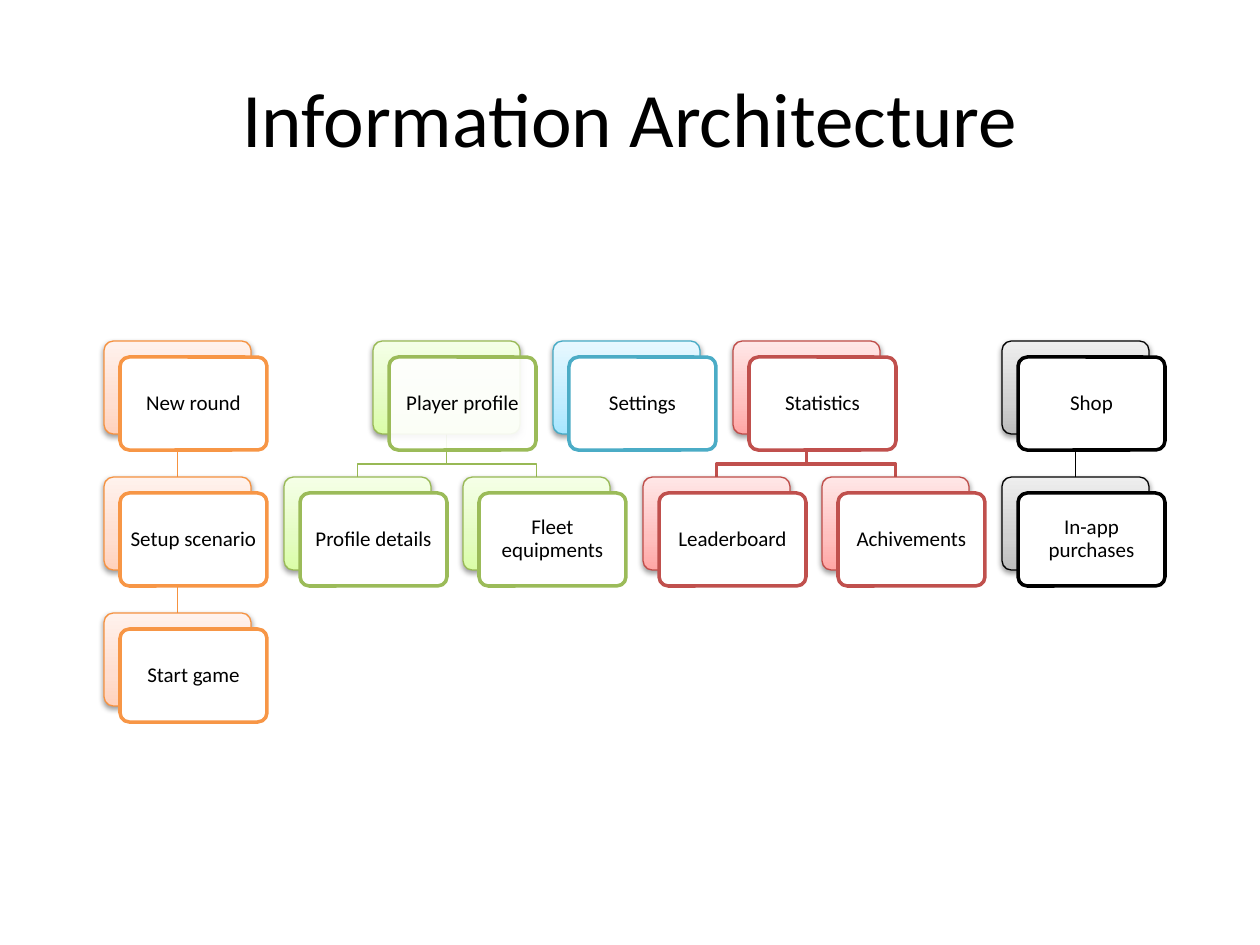
from collections import namedtuple

from pptx import Presentation, util as u
from pptx.dml.color import RGBColor
from pptx.enum import shapes, text
from pptx.oxml import parse_xml
from pptx.oxml.ns import nsdecls, qn

# Scale: 126 px to the inch
SCALE = 914400 / 126
# Grid: columns are counted in half steps
LEFT, TOP = 104, 341
HALF, ROW = 89.8, 136
WIDE, HIGH, SHIFT = 147, 93, 16
BEND = 30

BLACK = RGBColor(0, 0, 0)
WHITE = RGBColor(255, 255, 255)
FONT = "Calibri"

# card: front outline; edge: back outline; link: lines; stops: bottom to top
Theme = namedtuple("Theme", "card edge link weight stops")


def theme(card, edge, link, weight, *stops):
    return Theme(*map(RGBColor.from_string, (card, edge, link)), weight, stops)


ORANGE = theme("F79646", "F69240", "F69240", 0.75, "FFD2BD", "FFDED0", "FFF2ED")
GREEN = theme("9BBB59", "98B955", "98B955", 0.75, "DAFDA7", "E4FCC2", "F5FFE7")
BLUE = theme("4BACC6", "46AAC5", "46AAC5", 0.75, "A7E6FF", "C1EDFF", "E7F8FF")
RED = theme("C0504D", "BF4C48", "C0504D", 2, "FFA6A5", "FFC0BF", "FFE7E7")
GREY = theme("000000", "000000", "000000", 0.75, "BDBDBD", "D1D1D1", "EEEEEE")

# Name: half column, row, theme, parent
NODES = {
    "New round": (0, 0, ORANGE, None),
    "Setup scenario": (0, 1, ORANGE, "New round"),
    "Start game": (0, 2, ORANGE, "Setup scenario"),
    "Player profile": (3, 0, GREEN, None),
    "Profile details": (2, 1, GREEN, "Player profile"),
    "Fleet equipments": (4, 1, GREEN, "Player profile"),
    "Settings": (5, 0, BLUE, None),
    "Statistics": (7, 0, RED, None),
    "Leaderboard": (6, 1, RED, "Statistics"),
    "Achivements": (8, 1, RED, "Statistics"),
    "Shop": (10, 0, GREY, None),
    "In-app purchases": (10, 1, GREY, "Shop"),
}


def px(*nums):
    return [u.Emu(round(n * SCALE)) for n in nums]


def write(frame, words, size):
    frame.word_wrap = True
    frame.vertical_anchor = text.MSO_ANCHOR.MIDDLE
    para = frame.paragraphs[0]
    para.text = words
    para.alignment = text.PP_ALIGN.CENTER
    para.font.name, para.font.size = FONT, u.Pt(size)
    para.font.color.rgb = BLACK
    return para


def add_title(slide, words):
    box = slide.shapes.add_textbox(*px(63, 38, 1134, 157))
    write(box.text_frame, words, 44)


def add_round(slide, x, y, color, weight):
    box = slide.shapes.add_shape(
        shapes.MSO_SHAPE.ROUNDED_RECTANGLE, *px(x, y, WIDE, HIGH))
    box.adjustments[0] = 0.1
    box.line.color.rgb, box.line.width = color, u.Pt(weight)
    box.shadow.inherit = False
    return box


def add_back(slide, x, y, look):
    box = add_round(slide, x, y, look.edge, 0.75)
    props = box._element.spPr
    # Three-stop gradient
    stops = "".join(
        f'<a:gs pos="{at * 1000}"><a:srgbClr val="{color}"/></a:gs>'
        for at, color in zip((0, 35, 100), look.stops))
    props.find(qn("a:prstGeom")).addnext(parse_xml(
        f'<a:gradFill {nsdecls("a")} rotWithShape="1"><a:gsLst>{stops}</a:gsLst>'
        '<a:lin ang="16200000" scaled="0"/></a:gradFill>'))
    # Soft shadow below
    props.find(qn("a:effectLst")).append(parse_xml(
        f'<a:outerShdw {nsdecls("a")} blurRad="40000" dist="20000" dir="5400000"'
        ' rotWithShape="0"><a:srgbClr val="000000"><a:alpha val="38000"/>'
        '</a:srgbClr></a:outerShdw>'))
    return box


def add_card(slide, x, y, look, words):
    box = add_round(slide, x, y, look.card, 2)
    box.fill.solid()
    box.fill.fore_color.rgb = WHITE
    frame = box.text_frame
    (inset,) = px(6)
    frame.margin_left = frame.margin_right = inset
    frame.margin_top = frame.margin_bottom = inset
    write(frame, words, 12).line_spacing = 0.9
    return box


def fade(box, percent):
    color = box._element.spPr.find(qn("a:solidFill"))[0]
    color.append(parse_xml(f'<a:alpha {nsdecls("a")} val="{percent * 1000}"/>'))


def add_link(slide, top, low, look):
    x1, y1 = top.left + top.width // 2, top.top + top.height
    x2, y2 = low.left + low.width // 2, low.top
    if x1 == x2:
        link = slide.shapes.add_connector(
            shapes.MSO_CONNECTOR.STRAIGHT, x1, y1, x2, y2)
        link.begin_connect(top, 2)
        link.end_connect(low, 0)
        link._element.spPr.append(parse_xml(f'<a:effectLst {nsdecls("a")}/>'))
    else:
        bend = y1 + px(BEND)[0]
        path = slide.shapes.build_freeform(x1, y1)
        path.add_line_segments([(x1, bend), (x2, bend), (x2, y2)], close=False)
        link = path.convert_to_shape()
        link.fill.background()
        link.shadow.inherit = False
    link.line.color.rgb, link.line.width = look.link, u.Pt(look.weight)
    # Links lie behind all boxes
    slide.shapes._spTree.insert(2, link._element)


def add_tree(slide):
    backs = {}
    for name, (col, row, look, parent) in NODES.items():
        x, y = LEFT + round(col * HALF), TOP + row * ROW
        backs[name] = add_back(slide, x, y, look)
        card = add_card(slide, x + SHIFT, y + SHIFT, look, name)
        if name == "Player profile":
            fade(card, 90)
        if parent:
            add_link(slide, backs[parent], backs[name], look)


def main():
    deck = Presentation()
    deck.slide_width, deck.slide_height = px(1260, 945)
    slide = deck.slides.add_slide(deck.slide_layouts[6])
    add_title(slide, "Information Architecture")
    add_tree(slide)
    deck.save("out.pptx")


if __name__ == "__main__":
    main()
